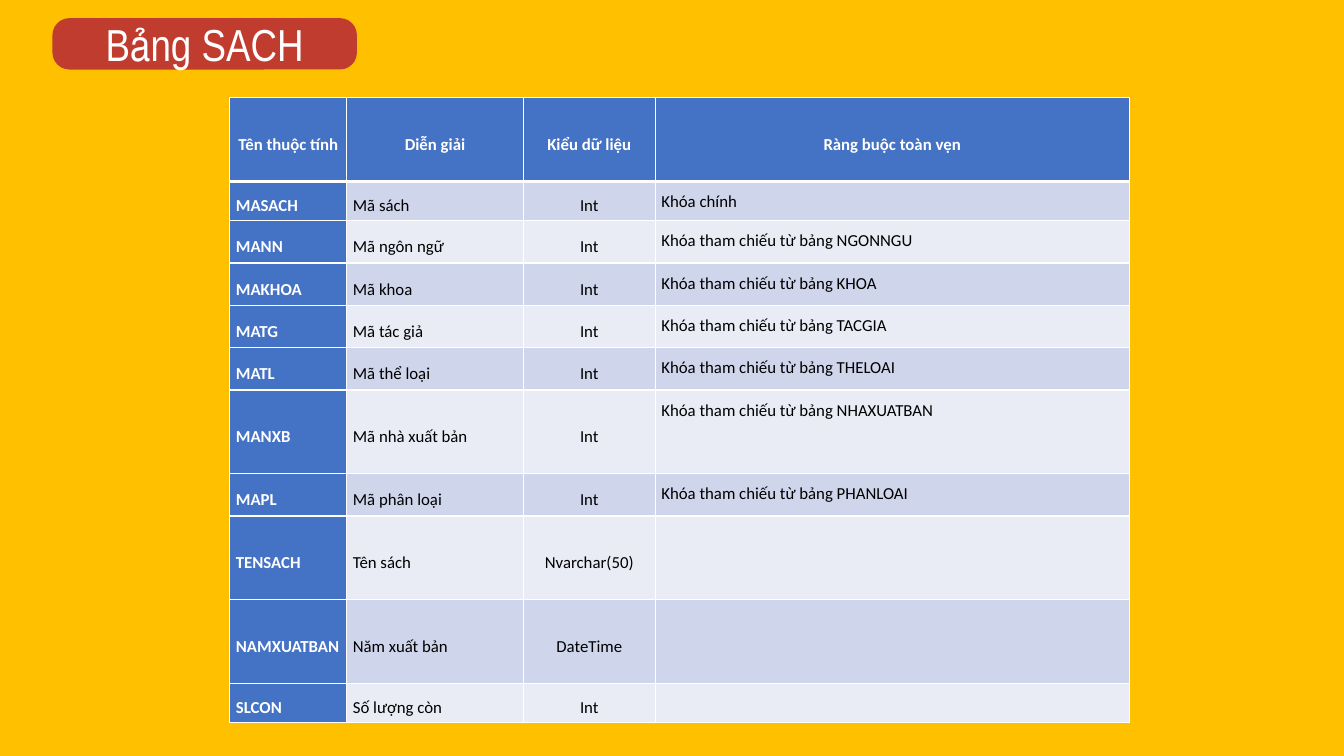
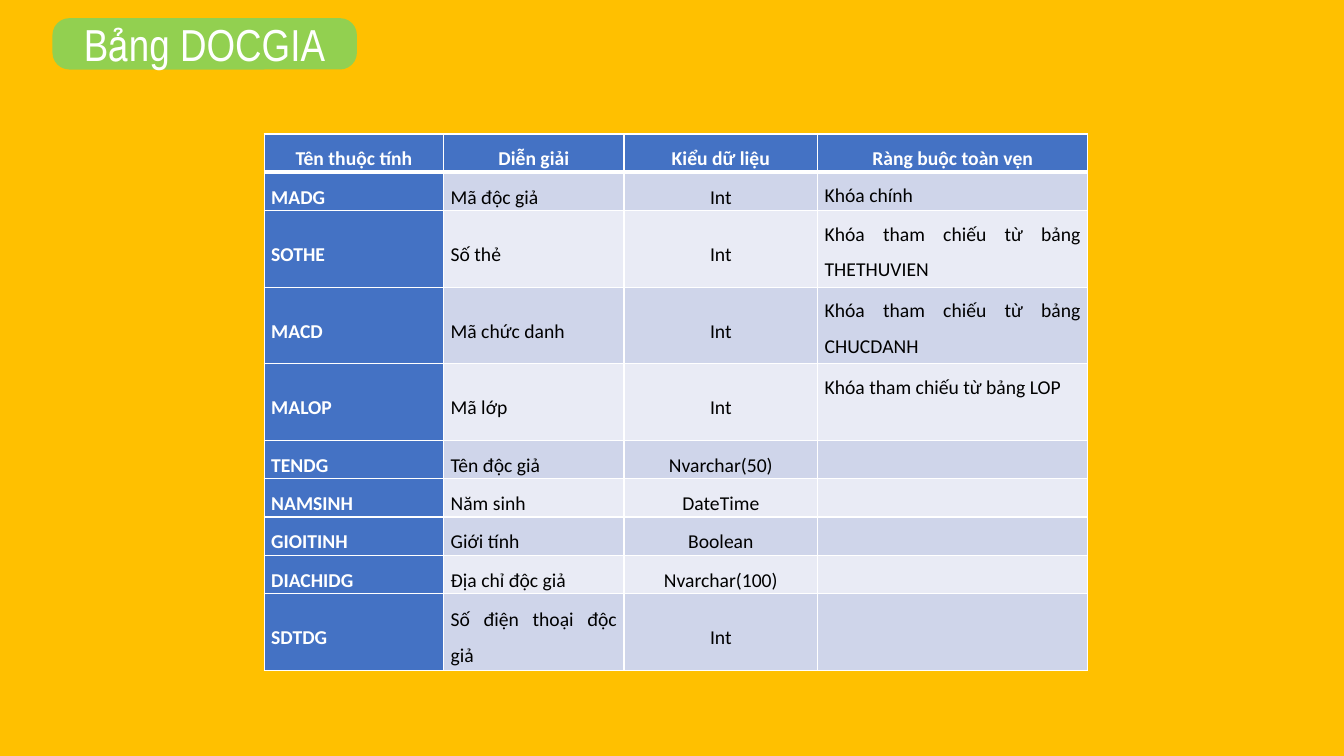
from dataclasses import dataclass

import pptx
import pptx.dml.color
import pptx.enum.shapes
import pptx.enum.text
import pptx.oxml
import pptx.oxml.ns
import pptx.util

ALIGN = pptx.enum.text.PP_ALIGN
ANCHOR = pptx.enum.text.MSO_ANCHOR
TITLE_ONLY = 5
HEADER = ("Tên thuộc tính", "Diễn giải", "Kiểu dữ liệu", "Ràng buộc toàn vẹn")
TYPE_COL, RULE_COL = 2, 3


@dataclass(frozen=True)
class Theme:
    background: str = "FFC000"
    red: str = "C03C2E"
    green: str = "92D050"
    key: str = "4472C4"
    bands: tuple = ("CFD5EA", "E9EBF5")
    light: str = "FFFFFF"
    dark: str = "000000"
    title_font: str = "Arial Narrow"
    title_size: int = 32
    table_font: str = "Calibri"
    line_spacing: float = 1.5
    rule: int = 1
    header_rule: int = 3


def px(n):
    """Turn px, 100 to the inch, into EMU."""
    return pptx.util.Emu(n * 9144)


def rgb(code):
    return pptx.dml.color.RGBColor.from_string(code)


def reference(table):
    return f"Khóa tham chiếu từ bảng {table}"


class Deck:
    def __init__(self, theme):
        self.theme = theme
        self.prs = pptx.Presentation()
        self.prs.slide_width, self.prs.slide_height = px(1333), px(750)
        self.paint(self.prs.slide_master.background, theme.background)
        self.s = None

    def paint(self, target, color):
        target.fill.solid()
        target.fill.fore_color.rgb = rgb(color)

    def add_text(self, p, text, font, size, color, bold=False):
        r = p.add_run()
        r.text = text
        r.font.name = font
        r.font.size = pptx.util.Pt(size)
        r.font.bold = bold
        r.font.color.rgb = rgb(color)

    def add_slide(self, title, color):
        """Start a slide with its title on a coloured pill."""
        self.s = self.prs.slides.add_slide(self.prs.slide_layouts[TITLE_ONLY])
        box = [px(n) for n in (52, 18, 302, 51)]
        pill = self.s.shapes.add_shape(
            pptx.enum.shapes.MSO_SHAPE.ROUNDED_RECTANGLE, *box)
        pill.adjustments[0] = 0.33
        pill.shadow.inherit = False
        pill.line.fill.background()
        self.paint(pill, color)

        sp = self.s.shapes.title
        sp.left, sp.top, sp.width, sp.height = box
        sp.element.addprevious(pill.element)
        tf = sp.text_frame
        tf.auto_size = pptx.enum.text.MSO_AUTO_SIZE.NONE
        tf.word_wrap = True
        tf.vertical_anchor = ANCHOR.MIDDLE
        p = tf.paragraphs[0]
        p.alignment = ALIGN.CENTER
        self.add_text(p, title, self.theme.title_font, self.theme.title_size,
                      self.theme.light)

    def add_borders(self, cell, row):
        t = self.theme
        widths = {"L": t.rule, "R": t.rule,
                  "T": t.header_rule if row == 1 else t.rule,
                  "B": t.header_rule if row == 0 else t.rule}
        tc_pr = cell._tc.get_or_add_tcPr()
        for side, width in widths.items():
            tc_pr.append(pptx.oxml.parse_xml(
                f'<a:ln{side} {pptx.oxml.ns.nsdecls("a")} w="{width * 12700}">'
                f'<a:solidFill><a:srgbClr val="{t.light}"/></a:solidFill>'
                f'</a:ln{side}>'))

    def fill_cell(self, cell, row, col, text, size, inset):
        t = self.theme
        is_key = row == 0 or col == 0
        self.add_borders(cell, row)
        self.paint(cell, t.key if is_key else t.bands[(row - 1) % 2])
        cell.margin_left = cell.margin_right = px(inset)
        cell.margin_top = cell.margin_bottom = 0
        is_rule = row > 0 and col == RULE_COL
        cell.vertical_anchor = ANCHOR.TOP if is_rule else ANCHOR.MIDDLE
        if not text:
            return
        p = cell.text_frame.paragraphs[0]
        centred = row == 0 or col == TYPE_COL
        p.alignment = ALIGN.CENTER if centred else ALIGN.JUSTIFY
        p.line_spacing = t.line_spacing
        self.add_text(p, text, t.table_font, size,
                      t.light if is_key else t.dark, is_key)

    def add_table(self, left, top, widths, heights, rows, size, inset):
        """Add the attribute table, one height for each row and the header."""
        table = self.s.shapes.add_table(
            len(heights), len(widths), px(left), px(top),
            px(sum(widths)), px(sum(heights))).table
        table.first_col = True
        for column, width in zip(table.columns, widths):
            column.width = px(width)
        for i, (height, texts) in enumerate(zip(heights, (HEADER, *rows))):
            table.rows[i].height = px(height)
            for j, text in enumerate(texts):
                self.fill_cell(table.cell(i, j), i, j, text, size, inset)


BOOK_ROWS = (
    ("MASACH", "Mã sách", "Int", "Khóa chính"),
    ("MANN", "Mã ngôn ngữ", "Int", reference("NGONNGU")),
    ("MAKHOA", "Mã khoa", "Int", reference("KHOA")),
    ("MATG", "Mã tác giả", "Int", reference("TACGIA")),
    ("MATL", "Mã thể loại", "Int", reference("THELOAI")),
    ("MANXB", "Mã nhà xuất bản", "Int", reference("NHAXUATBAN")),
    ("MAPL", "Mã phân loại", "Int", reference("PHANLOAI")),
    ("TENSACH", "Tên sách", "Nvarchar(50)", ""),
    ("NAMXUATBAN", "Năm xuất bản", "DateTime", ""),
    ("SLCON", "Số lượng còn", "Int", ""),
)

READER_ROWS = (
    ("MADG", "Mã độc giả", "Int", "Khóa chính"),
    ("SOTHE", "Số thẻ", "Int", reference("THETHUVIEN")),
    ("MACD", "Mã chức danh", "Int", reference("CHUCDANH")),
    ("MALOP", "Mã lớp", "Int", reference("LOP")),
    ("TENDG", "Tên độc giả", "Nvarchar(50)", ""),
    ("NAMSINH", "Năm sinh", "DateTime", ""),
    ("GIOITINH", "Giới tính", "Boolean", ""),
    ("DIACHIDG", "Địa chỉ độc giả", "Nvarchar(100)", ""),
    ("SDTDG", "Số điện thoại độc giả", "Int", ""),
)


def main():
    theme = Theme()
    deck = Deck(theme)

    deck.add_slide("Bảng SACH", theme.red)
    deck.add_table(228, 97, (116, 175, 131, 470),
                   (83, 39, 42, 42, 42, 42, 83, 42, 83, 83, 39),
                   BOOK_ROWS, size=12, inset=6)

    deck.add_slide("Bảng DOCGIA", theme.green)
    deck.add_table(262, 133, (178, 179, 192, 268),
                   (38, 38, 76, 76, 76, 38, 38, 38, 38, 76),
                   READER_ROWS, size=14, inset=7)

    deck.prs.save("out.pptx")


if __name__ == "__main__":
    main()
